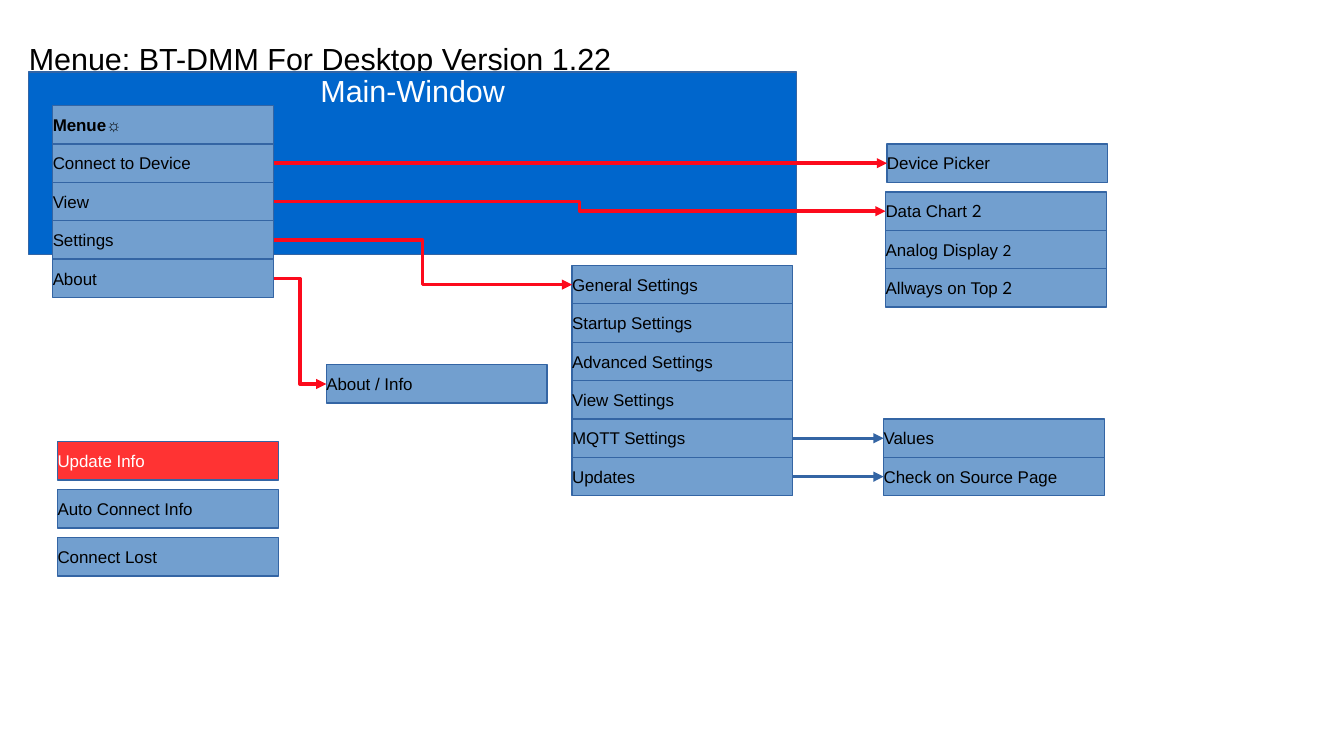
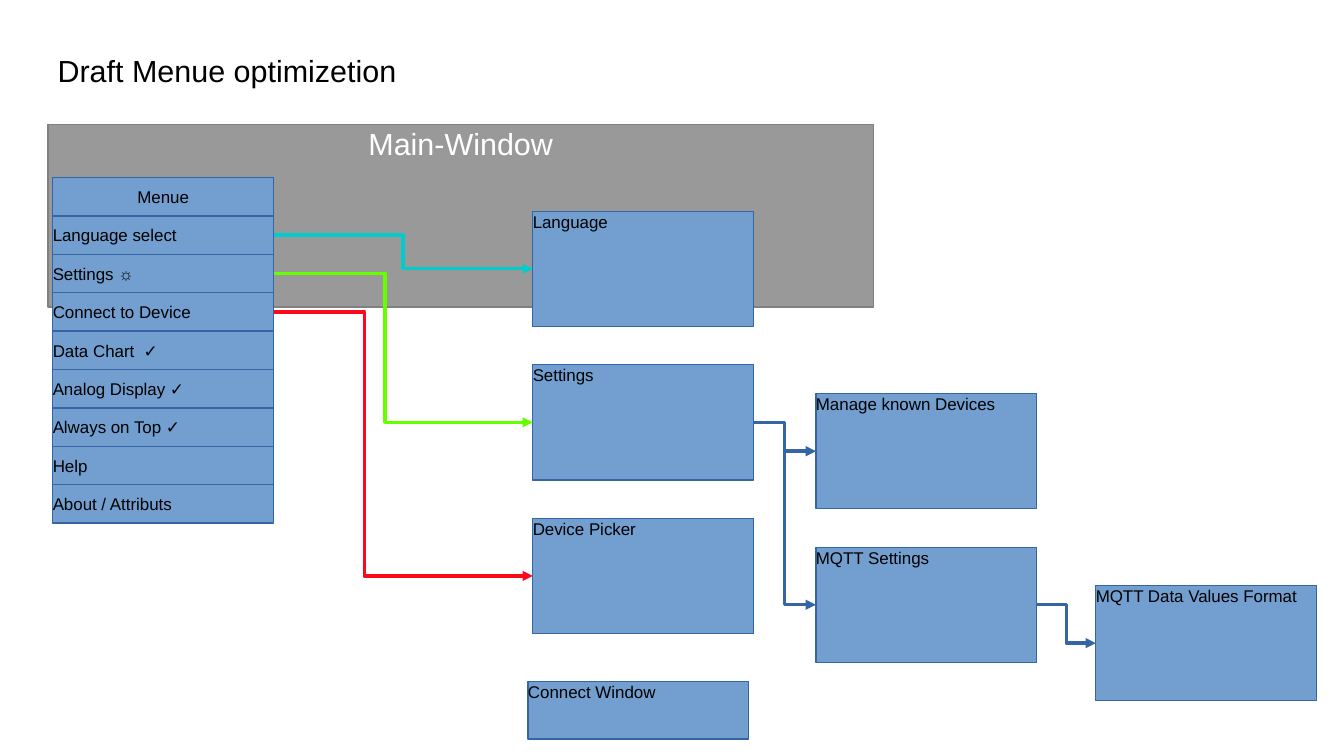
import lxml.etree
import pptx
import pptx.dml.color
import pptx.enum.shapes
import pptx.enum.text
import pptx.oxml.ns
import pptx.util

# Grid: 28 columns by 15.75 rows, one centimetre each
COLUMNS, ROWS = 28, 15.75
ENTRY_W, ENTRY_H, WINDOW_H, MAIN_H = 4.6, 0.8, 2.4, 3.8

# Shared colours
BLACK, WHITE = "000000", "FFFFFF"
SKY, STEEL, RED, LIME, CYAN = "729FCF", "3465A4", "FC0A1C", "66FF00", "00CCCC"

# Shared text formats
ALIGN, ANCHOR = pptx.enum.text.PP_ALIGN, pptx.enum.text.MSO_ANCHOR
FRAME = {"margin_left": 0, "margin_top": 0, "margin_right": 0,
         "margin_bottom": 0, "word_wrap": True,
         "auto_size": pptx.enum.text.MSO_AUTO_SIZE.NONE}
HEADING = {"name": "Arial", "size": pptx.util.Pt(18), "bold": False}
LABEL = {"name": "Arial", "size": pptx.util.Pt(10), "bold": False}
LEFT_SITE, RIGHT_SITE = 1, 3


def grid(cells):
    return pptx.util.Cm(cells)


def rgb(hex_code):
    return pptx.dml.color.RGBColor.from_string(hex_code)


def apply(target, values):
    for key, value in values.items():
        setattr(target, key, value)


def write(frame, content, font=LABEL, color=BLACK, align=ALIGN.LEFT,
          anchor=ANCHOR.MIDDLE):
    """Content is a string or a list of (string, font changes)."""
    apply(frame, {**FRAME, "vertical_anchor": anchor})
    paragraph = frame.paragraphs[0]
    paragraph.alignment = align
    pieces = [(content, {})] if isinstance(content, str) else content
    for words, changes in pieces:
        run = paragraph.add_run()
        run.text = words
        apply(run.font, {**font, **changes})
        run.font.color.rgb = rgb(color)


def add_title(slide, words, left, top, width, height):
    title = slide.shapes.title
    apply(title, {"left": grid(left), "top": grid(top),
                  "width": grid(width), "height": grid(height)})
    write(title.text_frame, words, HEADING)


def add_box(slide, content, left, top, width=ENTRY_W, height=ENTRY_H,
            fill=SKY, outline=STEEL, **text_format):
    box = slide.shapes.add_shape(
        pptx.enum.shapes.MSO_SHAPE.RECTANGLE,
        grid(left), grid(top), grid(width), grid(height))
    box.shadow.inherit = False
    box.fill.solid()
    box.fill.fore_color.rgb = rgb(fill)
    box.line.color.rgb = rgb(outline)
    box.line.width = 0
    write(box.text_frame, content, **text_format)
    return box


def add_main_window(slide, left, top, width, fill, outline):
    add_box(slide, "Main-Window", left, top, width, MAIN_H, fill, outline,
            font=HEADING, color=WHITE, align=ALIGN.CENTER, anchor=ANCHOR.TOP)


def add_menu(slide, left, top, entries, step=ENTRY_H):
    """Stack entries downwards from the top left corner."""
    return [add_box(slide, entry, left, top + row * step)
            for row, entry in enumerate(entries)]


def add_window(slide, caption, left, top, height=WINDOW_H):
    return add_box(slide, caption, left, top, height=height,
                   anchor=ANCHOR.TOP)


def add_arrow(slide, source, target, color=STEEL, bend=0.5):
    """Join the right side of source to the left side of target."""
    level = abs(source.top + source.height / 2
                - target.top - target.height / 2) < grid(0.05)
    kinds = pptx.enum.shapes.MSO_CONNECTOR
    arrow = slide.shapes.add_connector(
        kinds.STRAIGHT if level else kinds.ELBOW, 0, 0, 0, 0)
    arrow.begin_connect(source, RIGHT_SITE)
    arrow.end_connect(target, LEFT_SITE)
    arrow.line.color.rgb = rgb(color)
    arrow.line.width = 0
    qn = pptx.oxml.ns.qn
    properties = arrow._element.spPr
    lxml.etree.SubElement(properties.find(qn("a:ln")), qn("a:tailEnd"),
                          type="triangle")
    lxml.etree.SubElement(properties, qn("a:effectLst"))
    if not level:
        guides = properties.find(qn("a:prstGeom")).get_or_add_avLst()
        lxml.etree.SubElement(guides, qn("a:gd"), name="adj1",
                              fmla=f"val {round(bend * 100000)}")


def build_current_menu(slide):
    add_title(slide, "Menue: BT-DMM For Desktop Version 1.22",
              0.6, 0.5, 14, 1.42)
    add_main_window(slide, 0.6, 1.5, 16, "0066CC", STEEL)

    # Main menu
    _, connect, view, settings, about = add_menu(slide, 1.1, 2.2, [
        [("Menue☼", {"bold": True})],
        "Connect to Device", "View", "Settings", "About"])

    # Submenus
    picker, = add_menu(slide, 18.48, 3, ["Device Picker"])
    lato = {"name": "Lato"}
    chart, *_ = add_menu(slide, 18.45, 4, [
        [("Data Chart ", {}), ("2", lato)],
        [("Analog Display ", {}), ("2", {**lato, "size": pptx.util.Pt(9)})],
        [("Allways on Top ", {}), ("2", lato)]])
    general, *_, mqtt, updates = add_menu(slide, 11.92, 5.53, [
        "General Settings", "Startup Settings", "Advanced Settings",
        "View Settings", "MQTT Settings", "Updates"])
    values, check = add_menu(slide, 18.41, 8.73,
                             ["Values", "Check on Source Page"])
    info, = add_menu(slide, 6.8, 7.6, ["About / Info"])

    # Notices
    add_box(slide, "Update Info", 1.2, 9.2, fill="FF3333", color=WHITE)
    add_menu(slide, 1.2, 10.2, ["Auto Connect Info", "Connect Lost"], step=1)

    # Paths
    for source, target in [(settings, general), (connect, picker),
                           (view, chart), (about, info)]:
        add_arrow(slide, source, target, RED)
    for source, target in [(mqtt, values), (updates, check)]:
        add_arrow(slide, source, target)


def build_draft_menu(slide):
    add_title(slide, "Draft Menue optimizetion", 1.2, 1.1, 7.3, 0.71)
    add_main_window(slide, 1, 2.6, 17.2, "999999", "808080")

    # Main menu
    add_box(slide, "Menue", 1.1, 3.7, align=ALIGN.CENTER)
    language_entry, settings_entry, connect_entry, *_ = add_menu(
        slide, 1.1, 3.7 + ENTRY_H, [
            "Language select", "Settings ☼", "Connect to Device",
            "Data Chart  ✓", "Analog Display ✓", "Always on Top ✓",
            "Help", "About / Attributs"])

    # Windows
    language, settings, picker = [
        add_window(slide, caption, 11.1, 4.4 + 3.2 * row)
        for row, caption in enumerate(
            ["Language", "Settings", "Device Picker"])]
    devices, mqtt = [
        add_window(slide, caption, 17, 8.2 + 3.2 * row)
        for row, caption in enumerate(
            ["Manage known Devices", "MQTT Settings"])]
    values_format = add_window(slide, "MQTT Data Values Format", 22.83, 12.2)
    add_window(slide, "Connect Window", 11, 14.2, WINDOW_H / 2)

    # Paths
    for source, target, color, bend in [
            (language_entry, language, CYAN, 0.5),
            (settings_entry, settings, LIME, 0.43),
            (connect_entry, picker, RED, 0.35),
            (settings, devices, STEEL, 0.5),
            (settings, mqtt, STEEL, 0.5),
            (mqtt, values_format, STEEL, 0.5)]:
        add_arrow(slide, source, target, color, bend)


def main():
    deck = pptx.Presentation()
    apply(deck, {"slide_width": grid(COLUMNS), "slide_height": grid(ROWS)})
    title_only = deck.slide_layouts[5]
    for build in (build_current_menu, build_draft_menu):
        build(deck.slides.add_slide(title_only))
    deck.save("out.pptx")


if __name__ == "__main__":
    main()
